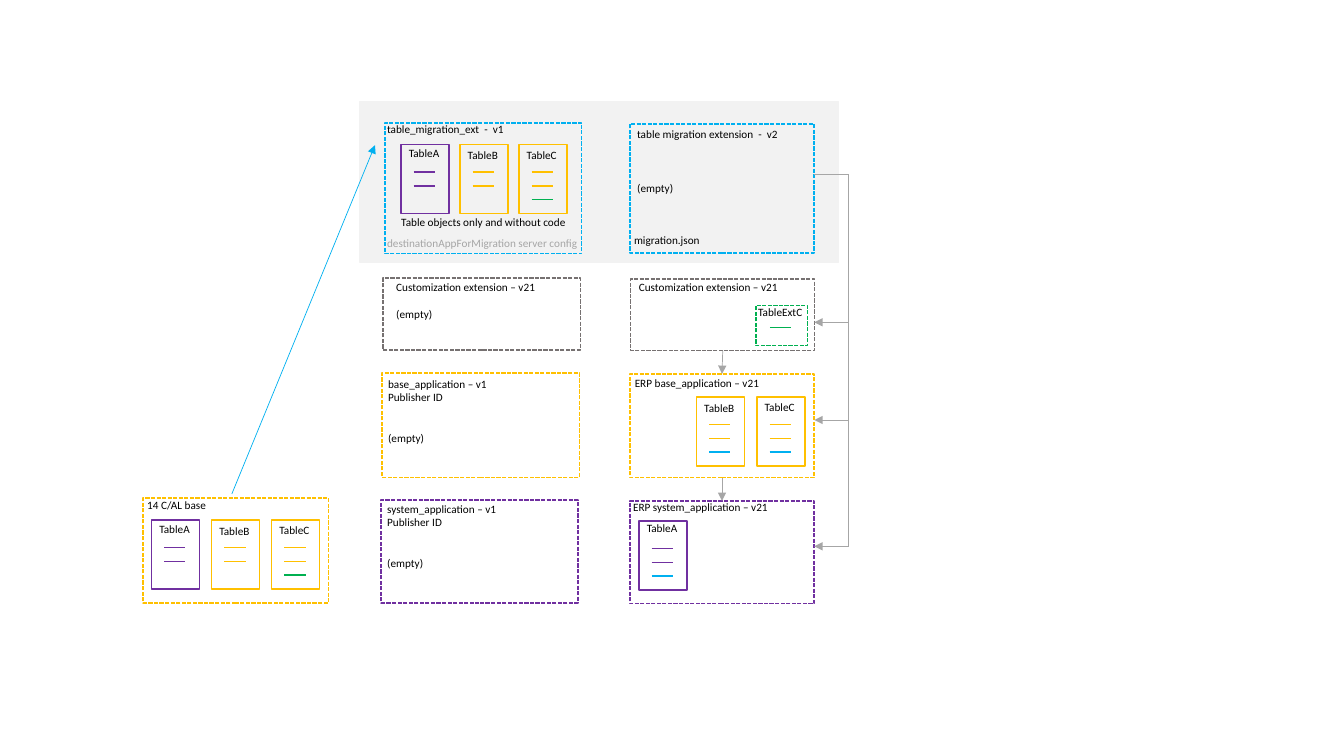
import pptx
import pptx.dml.color
import pptx.enum.dml
import pptx.enum.shapes
import pptx.enum.text
import pptx.oxml.ns
import pptx.util
from lxml import etree

RGB = pptx.dml.color.RGBColor
BLACK = RGB(0x00, 0x00, 0x00)
BAND_GREY = RGB(0xF2, 0xF2, 0xF2)
ARROW_GREY = RGB(0xA6, 0xA6, 0xA6)
DARK_GREY = RGB(0x76, 0x71, 0x71)
PURPLE = RGB(0x70, 0x30, 0xA0)
GOLD = RGB(0xFF, 0xC0, 0x00)
BLUE = RGB(0x00, 0xB0, 0xF0)
GREEN = RGB(0x00, 0xB0, 0x50)

Pt = pptx.util.Pt
LINE_PITCH = 9.75
CARD_WIDTH, CARD_HEIGHT = 34.25, 49.25
FIELD_LEFT, FIELD_WIDTH = 9, 15.25
FIELD_TOPS = (19.5, 29.5, 39.25)


# Basic parts
def add_box(shapes, box, color, fill=None, dashed=False):
    shape = shapes.add_shape(
        pptx.enum.shapes.MSO_SHAPE.RECTANGLE, *(Pt(length) for length in box))
    shape.shadow.inherit = False
    if fill is None:
        shape.fill.background()
    else:
        shape.fill.solid()
        shape.fill.fore_color.rgb = fill
    shape.line.color.rgb = color
    shape.line.width = Pt(1)
    if dashed:
        shape.line.dash_style = pptx.enum.dml.MSO_LINE.SQUARE_DOT
    return shape


def add_line(shapes, start, end, color, width=1, arrow=False):
    connector = shapes.add_connector(
        pptx.enum.shapes.MSO_CONNECTOR.STRAIGHT,
        *(Pt(length) for length in (*start, *end)))
    connector.line.color.rgb = color
    connector.line.width = Pt(width)
    if arrow:
        tail = etree.SubElement(connector.line._get_or_add_ln(),
                                pptx.oxml.ns.qn("a:tailEnd"))
        tail.set("type", "triangle")
    etree.SubElement(connector._element.spPr, pptx.oxml.ns.qn("a:effectLst"))
    return connector


def add_text(shapes, left, top, width, lines, color=BLACK):
    """Each line is a text and the number of line heights left free above it."""
    height = 5.5 + sum(LINE_PITCH * (1 + gap) for _, gap in lines)
    text_box = shapes.add_textbox(Pt(left), Pt(top), Pt(width), Pt(height))
    frame = text_box.text_frame
    frame.word_wrap = True
    frame.vertical_anchor = pptx.enum.text.MSO_ANCHOR.TOP
    frame.margin_left = frame.margin_right = Pt(2.9)
    frame.margin_top = frame.margin_bottom = Pt(2.9)
    for index, (text, gap) in enumerate(lines):
        paragraph = frame.add_paragraph() if index else frame.paragraphs[0]
        if gap:
            paragraph.space_before = Pt(gap * LINE_PITCH)
        run = paragraph.add_run()
        run.text = text
        run.font.name = "Calibri"
        run.font.size = Pt(8)
        run.font.color.rgb = color


def add_panel(slide, box, color, lines, shift):
    """Dashed extension box with its caption shifted from the corner."""
    panel = add_box(slide.shapes, box, color, dashed=True)
    add_text(slide.shapes, box[0] + shift[0], box[1] + shift[1],
             box[2], lines)
    return panel


def add_card(slide, left, top, name, color, field_colors, label_shift):
    """Table symbol: outline, one line per field, and the table name."""
    shapes = slide.shapes.add_group_shape().shapes
    add_box(shapes, (left, top, CARD_WIDTH, CARD_HEIGHT), color)
    for field_top, field_color in zip(FIELD_TOPS, field_colors):
        start = (left + FIELD_LEFT, top + field_top)
        add_line(shapes, start, (start[0] + FIELD_WIDTH, start[1]), field_color)
    add_text(shapes, left + 2.6, top + label_shift, 32.4, [(name, 0)])


def add_table_trio(slide, left, top, pitch):
    cards = (("TableA", PURPLE, (PURPLE, PURPLE), -1.5),
             ("TableB", GOLD, (GOLD, GOLD), 0),
             ("TableC", GOLD, (GOLD, GOLD, GREEN), -0.5))
    for index, card in enumerate(cards):
        add_card(slide, left + index * pitch, top, *card)


# Regions
def add_legacy_base(slide, left, top):
    add_panel(slide, (left, top, 132.5, 75), GOLD,
              [("14 C/AL base", 0)], (0, -2.9))
    add_table_trio(slide, left + 6, top + 15.75, 42.9)


def add_migration_band(slide, left, top):
    shapes = slide.shapes
    add_box(shapes, (left, top, 342, 114.5), BAND_GREY, fill=BAND_GREY)
    # Version 1: the tables to move
    add_panel(slide, (left + 18, top + 15, 140.5, 93.5), BLUE,
              [("table_migration_ext  -  v1", 0)], (-1.4, -2.9))
    add_table_trio(slide, left + 29.5, top + 30.5, 42.1)
    add_text(shapes, left + 26.7, top + 78.5, 132.5,
             [("Table objects only and without code", 0)])
    add_text(shapes, left + 16.6, top + 92.9, 155,
             [("destinationAppForMigration server config", 0)], ARROW_GREY)
    # Version 2: empty
    add_panel(slide, (left + 193, top + 15.75, 131.5, 92.25), BLUE,
              [("table migration extension  -  v2", 0), ("(empty)", 3)],
              (2.2, -0.7))
    add_text(shapes, left + 193, top + 90.75, 75.5, [("migration.json", 0)])


def add_empty_column(slide, left, top):
    add_panel(slide, (left + 1.4, top, 141, 51.25), DARK_GREY,
              [("Customization extension – v21", 0), ("(empty)", 1)],
              (6.5, -1.4))
    add_panel(slide, (left + 0.7, top + 67.75, 141, 74.5), GOLD,
              [("base_application – v1", 0), ("Publisher ID", 0),
               ("(empty)", 2)], (1.4, 0))
    add_panel(slide, (left, top + 158.5, 140.5, 73.5), PURPLE,
              [("system_application – v1", 0), ("Publisher ID", 0),
               ("(empty)", 2)], (1.4, -1.4))


def add_target_column(slide, left, top):
    shapes = slide.shapes
    # Customization with its table extension
    customization = add_panel(
        slide, (left + 0.5, top, 131.5, 51), DARK_GREY,
        [("Customization extension – v21", 0)], (2.9, -2.2))
    add_box(shapes, (left + 90, top + 18.75, 36.75, 28.75), GREEN, dashed=True)
    add_text(shapes, left + 88.6, top + 15.9, 40.4, [("TableExtC", 0)])
    add_line(shapes, (left + 100, top + 34.6),
             (left + 100 + FIELD_WIDTH, top + 34.6), GREEN)
    # Base application
    base = add_panel(slide, (left, top + 67.7, 131.5, 74.2), GOLD,
                     [("ERP base_application – v21", 0)], (0.5, -1.4))
    for index, (name, label_shift) in enumerate((("TableB", 0), ("TableC", -0.7))):
        add_card(slide, left + 47.5 + index * 43.2, top + 84.25, name, GOLD,
                 (GOLD, GOLD, BLUE), label_shift)
    # System application
    system = add_panel(slide, (left, top + 158.4, 131.5, 73.5), PURPLE,
                       [("ERP system_application – v21", 0)], (-0.7, -3.6))
    add_card(slide, left + 6.5, top + 172.75, "TableA", PURPLE,
             (PURPLE, PURPLE, BLUE), -2.9)
    # Dependencies between neighbours
    for upper, lower in ((customization, base), (base, system)):
        arrow = add_line(shapes, (0, 0), (1, 1), ARROW_GREY, 0.5, arrow=True)
        arrow.begin_connect(upper, 2)
        arrow.end_connect(lower, 0)


def add_migration_bus(slide, left, top, width):
    right = left + width
    drops = (105.75, 175.5, 265.75)
    add_line(slide.shapes, (right, top), (left, top), ARROW_GREY, 0.5)
    add_line(slide.shapes, (right, top + drops[-1]), (right, top),
             ARROW_GREY, 0.5)
    for drop in drops:
        add_line(slide.shapes, (right, top + drop), (left + 0.4, top + drop),
                 ARROW_GREY, 0.5, arrow=True)


def main():
    presentation = pptx.Presentation()
    presentation.slide_width = Pt(960)
    presentation.slide_height = Pt(540)
    slide = presentation.slides.add_slide(presentation.slide_layouts[6])
    add_migration_band(slide, 257, 72.75)
    add_empty_column(slide, 272.25, 198.75)
    add_target_column(slide, 450, 199.4)
    add_legacy_base(slide, 102.25, 355.75)
    add_migration_bus(slide, 581.25, 124.5, 25)
    # Legacy tables move to the migration extension
    add_line(slide.shapes, (165.6, 352.8), (267.85, 103.7), BLUE, 0.5, arrow=True)
    presentation.save("out.pptx")


if __name__ == "__main__":
    main()
